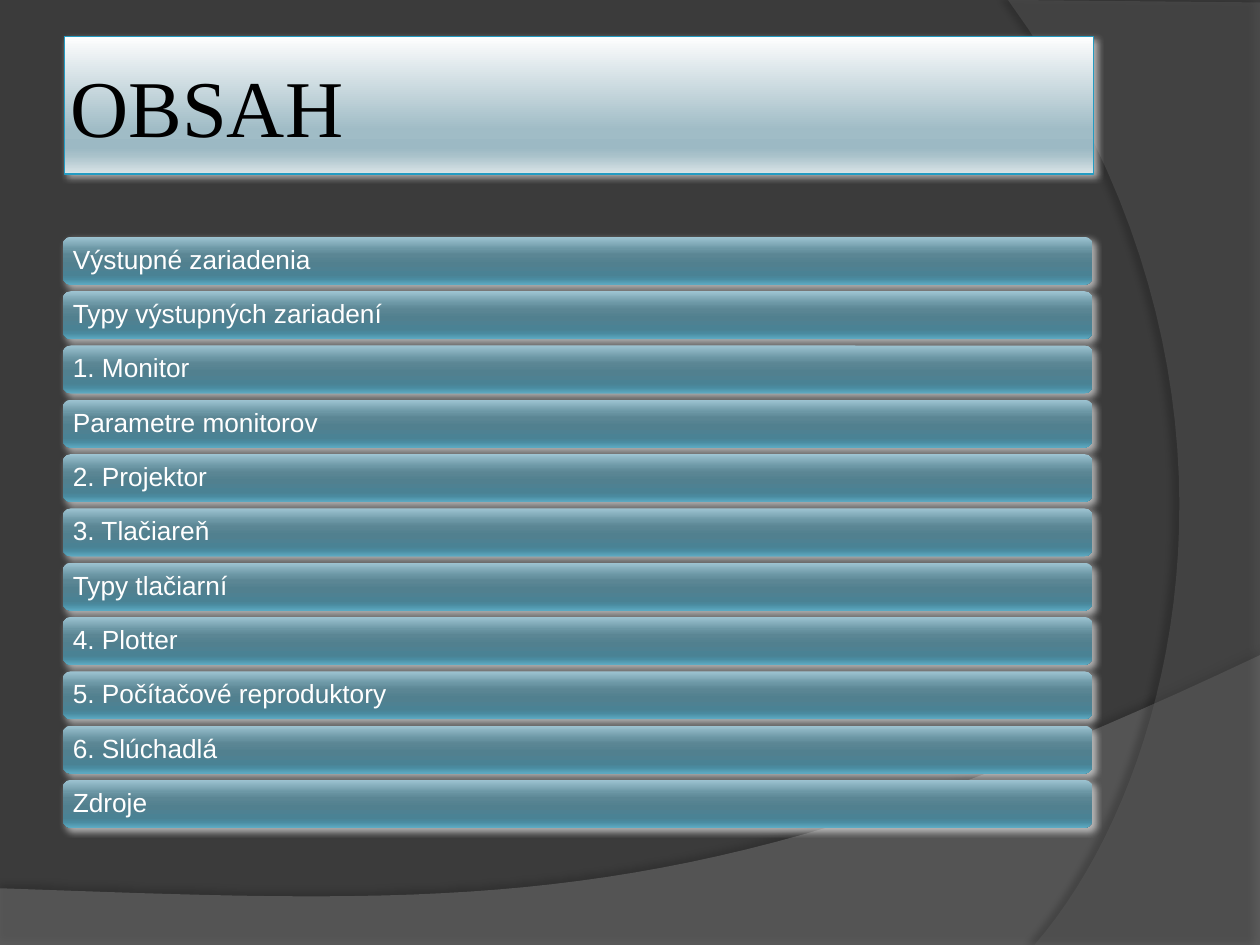
from dataclasses import dataclass

from lxml.etree import SubElement
from pptx import Presentation
from pptx.dml.color import RGBColor
from pptx.enum.shapes import MSO_SHAPE
from pptx.enum.text import MSO_ANCHOR, PP_ALIGN
from pptx.oxml.ns import qn
from pptx.util import Inches, Pt


@dataclass(frozen=True)
class Theme:
    back: str = "3B3B3B"
    wave: str = "7F7F7F"
    panel: str = "5E5E5E"
    edge: str = "239BC2"
    dark: str = "000000"
    light: str = "FFFFFF"
    head_font: str = "Times New Roman"
    body_font: str = "Arial"
    head_size: int = 46
    body_size: int = 15
    head_stops: tuple = ((0, "FEFEFE"), (68, "A0BCC6"), (81, "9CB9C4"),
                         (86, "A7C0C9"), (100, "DAE4E7"))
    bar_stops: tuple = ((0, "9EC4D2"), (25, "6C97A5"), (38, "5B8694"),
                        (55, "51808F"), (80, "4A8294"), (88, "4A8BA0"),
                        (100, "5DAAC2"))


TOPICS = ["Výstupné zariadenia", "Typy výstupných zariadení", "1. Monitor",
          "Parametre monitorov", "2. Projektor", "3. Tlačiareň",
          "Typy tlačiarní", "4. Plotter", "5. Počítačové reproduktory",
          "6. Slúchadlá", "Zdroje"]


def rgb(code):
    return RGBColor.from_string(code)


def curve(start, first, second, end, steps=40):
    """Points along a cubic curve, both ends included."""
    points = []
    for step in range(steps + 1):
        t = step / steps
        u = 1 - t
        points.append(tuple(
            u**3 * a + 3 * u * u * t * b + 3 * u * t * t * c + t**3 * d
            for a, b, c, d in zip(start, first, second, end)))
    return points


def write(frame, text, *, font, size, color, inset, spacing=1.0):
    frame.word_wrap = True
    frame.vertical_anchor = MSO_ANCHOR.MIDDLE
    frame.margin_left = frame.margin_right = Inches(inset)
    frame.margin_top = frame.margin_bottom = Inches(inset)
    line = frame.paragraphs[0]
    line.text = text
    line.alignment = PP_ALIGN.LEFT
    line.line_spacing = spacing
    line.font.name = font
    line.font.size = Pt(size)
    line.font.color.rgb = rgb(color)


def shade(shape, color, alpha, blur, dist, angle):
    """Give the shape an outer shadow; lengths in points."""
    shape.shadow.inherit = False
    effects = shape._element.spPr.find(qn("a:effectLst"))
    outer = SubElement(effects, qn("a:outerShdw"), blurRad=str(Pt(blur)),
                       dist=str(Pt(dist)), dir=str(angle * 60000),
                       algn="ctr", rotWithShape="0")
    tint = SubElement(outer, qn("a:srgbClr"), val=color)
    SubElement(tint, qn("a:alpha"), val=str(alpha * 1000))


def blend(shape, stops):
    """Fill the shape with a gradient from top to bottom."""
    shape.fill.gradient()
    shape.fill.gradient_angle = 270
    items = shape._element.spPr.find(".//" + qn("a:gsLst"))
    items.clear()
    for place, color in stops:
        stop = SubElement(items, qn("a:gs"), pos=str(place * 1000))
        SubElement(stop, qn("a:srgbClr"), val=color)


class Page:
    def __init__(self, deck, theme):
        self.theme = theme
        self.slide = deck.slides.add_slide(deck.slide_layouts[5])
        fill = self.slide.background.fill
        fill.solid()
        fill.fore_color.rgb = rgb(theme.back)

    def sweep(self, points, color, alpha):
        spots = [(Inches(x), Inches(y)) for x, y in points]
        pen = self.slide.shapes.build_freeform(*spots[0])
        pen.add_line_segments(spots[1:], close=True)
        shape = pen.convert_to_shape()
        shape.fill.solid()
        shape.fill.fore_color.rgb = rgb(color)
        tint = shape._element.spPr.find(".//" + qn("a:srgbClr"))
        SubElement(tint, qn("a:alpha"), val=str(alpha * 1000))
        shape.line.fill.background()
        return shape

    def title(self, text, left, top, width, height):
        theme = self.theme
        shape = self.slide.shapes.title
        shape.left, shape.top = Inches(left), Inches(top)
        shape.width, shape.height = Inches(width), Inches(height)
        blend(shape, theme.head_stops)
        shape.line.color.rgb = rgb(theme.edge)
        shape.line.width = Pt(0.75)
        shade(shape, theme.light, 60, 4, 2, 45)
        write(shape.text_frame, text, font=theme.head_font,
              size=theme.head_size, color=theme.dark, inset=0.05)
        # Bring the title in front of the backdrop
        self.slide.shapes._spTree.append(shape._element)

    def bar(self, text, left, top, width, height):
        theme = self.theme
        shape = self.slide.shapes.add_shape(
            MSO_SHAPE.ROUNDED_RECTANGLE, Inches(left), Inches(top),
            Inches(width), Inches(height))
        blend(shape, theme.bar_stops)
        shape.line.fill.background()
        shade(shape, theme.light, 60, 4, 2, 45)
        write(shape.text_frame, text, font=theme.body_font,
              size=theme.body_size, color=theme.light, inset=0.06,
              spacing=0.9)


def main():
    deck = Presentation()
    deck.slide_width, deck.slide_height = Inches(10), Inches(7.5)
    theme = Theme()
    page = Page(deck, theme)

    # Backdrop: low wave and right panel
    wave = page.sweep(
        [(0, 7.5), (10, 7.5)]
        + curve((10, 5.2), (5.59, 7.29), (3.91, 7.19), (0, 7.05)),
        theme.wave, 45)
    shade(wave, theme.dark, 35, 4, 3.5, 270)
    panel = page.sweep(
        [(10, 0.02), (10, 7.5)]
        + curve((8.21, 7.5), (9.35, 6.19), (10.18, 3), (8, 0)),
        theme.panel, 40)
    shade(panel, theme.dark, 45, 4, 4, 180)

    # Heading
    page.title("OBSAH", 0.51, 0.29, 8.17, 1.09)

    # Topic bars at an equal pitch
    first, last = 1.88, 6.19
    pitch = (last - first) / (len(TOPICS) - 1)
    for row, topic in enumerate(TOPICS):
        page.bar(topic, 0.5, first + row * pitch, 8.17, 0.38)

    deck.save("out.pptx")


if __name__ == "__main__":
    main()
